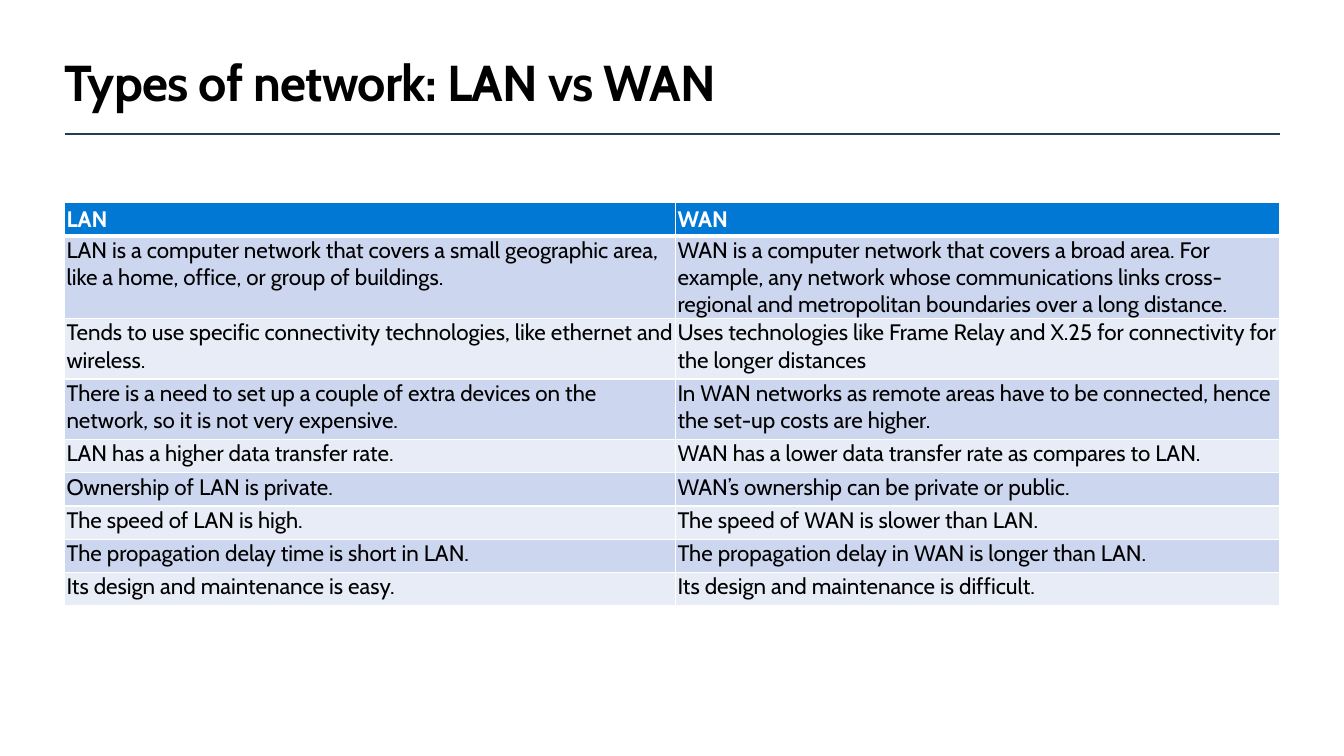
from lxml.etree import SubElement as Sub
from pptx import Presentation
from pptx.dml.color import RGBColor as RGB
from pptx.enum.shapes import MSO_CONNECTOR as Conn
from pptx.enum.text import MSO_ANCHOR as Anchor
from pptx.oxml.ns import qn
from pptx.util import Inches as In, Pt

THEME = {
    "font": "Cabin", "title_size": 36, "cell_size": 16,
    "text": "000000", "rule": "243A5E", "border": "FFFFFF",
    "head_text": "FFFFFF", "head_fill": "0078D4",
    "bands": ("E7ECF7", "CCD6EF"),
}
WIDTH, HEIGHT = 13.33, 7.5
LEFT, RIGHT = 0.64, 12.7
COLUMNS = (6.06, 5.99)
LINE, TWO_LINES = 0.33, 0.6
HEIGHTS = [LINE] + [TWO_LINES] * 3 + [LINE] * 5
MARGINS = {"margin_left": In(0.02), "margin_right": In(0.02),
           "margin_top": In(0.01), "margin_bottom": In(0.01)}
ROWS = [
    ("LAN", "WAN"),
    ("LAN is a computer network that covers a small geographic area, like a home, office, or group of buildings.",
     "WAN is a computer network that covers a broad area. For example, any network whose communications links "
     "cross-regional and metropolitan boundaries over a long distance."),
    ("Tends to use specific connectivity technologies, like ethernet and wireless.",
     "Uses technologies like Frame Relay and X.25 for connectivity for the longer distances"),
    ("There is a need to set up a couple of extra devices on the network, so it is not very expensive.",
     "In WAN networks as remote areas have to be connected, hence the set-up costs are higher."),
    ("LAN has a higher data transfer rate.", "WAN has a lower data transfer rate as compares to LAN."),
    ("Ownership of LAN is private.", "WAN’s ownership can be private or public."),
    ("The speed of LAN is high.", "The speed of WAN is slower than LAN."),
    ("The propagation delay time is short in LAN.", "The propagation delay in WAN is longer than LAN."),
    ("Its design and maintenance is easy.", "Its design and maintenance is difficult."),
]


def write(tf, text, size, color, bold):
    r = tf.paragraphs[0].add_run()
    r.text = text
    for name, value in {"name": THEME["font"], "size": Pt(size), "bold": bold}.items():
        setattr(r.font, name, value)
    r.font.color.rgb = RGB.from_string(color)
    return r


def add_borders(cell, widths):
    for side, width in widths.items():
        ln = Sub(cell._tc.get_or_add_tcPr(), qn(f"a:ln{side}"), w=str(Pt(width)))
        Sub(Sub(ln, qn("a:solidFill")), qn("a:srgbClr"), val=THEME["border"])


prs = Presentation()
prs.slide_width, prs.slide_height = In(WIDTH), In(HEIGHT)
s = prs.slides.add_slide(prs.slide_layouts[6])

rule = s.shapes.add_connector(Conn.STRAIGHT, In(LEFT), In(1.33), In(RIGHT), In(1.33))
rule.line.color.rgb = RGB.from_string(THEME["rule"])
rule.line.width = Pt(2)
Sub(rule._element.spPr, qn("a:effectLst"))

tf = s.shapes.add_textbox(In(LEFT), In(0.5), In(sum(COLUMNS)), In(0.61)).text_frame
title_format = dict.fromkeys(MARGINS, 0) | {"word_wrap": True, "vertical_anchor": Anchor.MIDDLE}
for name, value in title_format.items():
    setattr(tf, name, value)
r = write(tf, "Types of network: LAN vs WAN", THEME["title_size"], THEME["text"], True)
r.font._element.set("spc", "-50")

table = s.shapes.add_table(len(ROWS), len(COLUMNS), In(LEFT), In(2.01),
                           In(sum(COLUMNS)), In(sum(HEIGHTS))).table
for column, width in zip(table.columns, COLUMNS):
    column.width = In(width)

for i, (texts, height) in enumerate(zip(ROWS, HEIGHTS)):
    head = i == 0
    table.rows[i].height = In(height)
    fill = THEME["head_fill"] if head else THEME["bands"][i % 2]
    color = THEME["head_text"] if head else THEME["text"]
    cell_format = MARGINS | {"vertical_anchor": Anchor.MIDDLE if head else Anchor.TOP}
    for j, text in enumerate(texts):
        cell = table.cell(i, j)
        for name, value in cell_format.items():
            setattr(cell, name, value)
        add_borders(cell, {"L": 1, "R": 1, "T": 3 if i == 1 else 1, "B": 3 if head else 1})
        cell.fill.solid()
        cell.fill.fore_color.rgb = RGB.from_string(fill)
        write(cell.text_frame, text, THEME["cell_size"], color, head)

prs.save("out.pptx")
